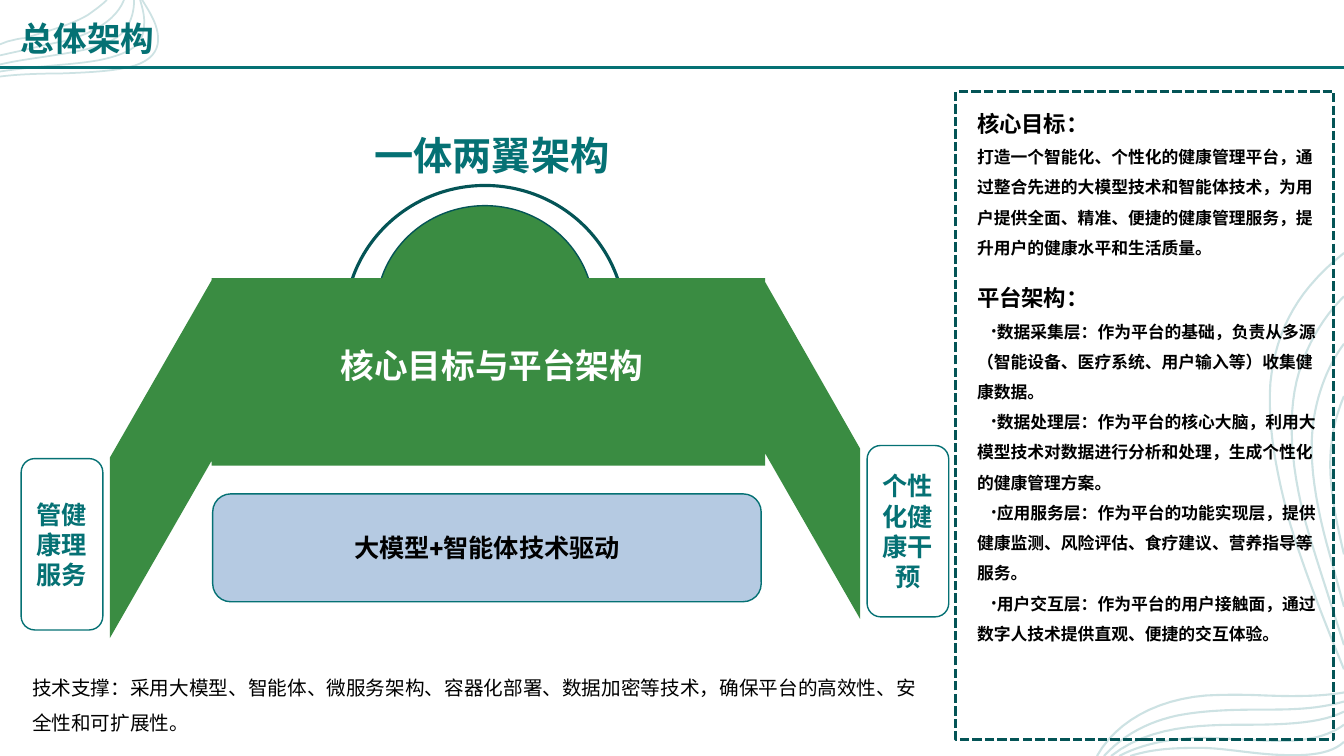
from lxml import etree
from pptx import Presentation
from pptx.dml.color import RGBColor
from pptx.enum.dml import MSO_LINE
from pptx.enum.shapes import MSO_CONNECTOR, MSO_SHAPE
from pptx.enum.text import MSO_ANCHOR, MSO_AUTO_SIZE, PP_ALIGN
from pptx.oxml.ns import qn
from pptx.util import Inches, Pt

LEFT, CENTER = PP_ALIGN.LEFT, PP_ALIGN.CENTER
TOP, MIDDLE = MSO_ANCHOR.TOP, MSO_ANCHOR.MIDDLE
OVAL, RECT, ROUNDED = MSO_SHAPE.OVAL, MSO_SHAPE.RECTANGLE, MSO_SHAPE.ROUNDED_RECTANGLE
STRAIGHT, DASH = MSO_CONNECTOR.STRAIGHT, MSO_LINE.SQUARE_DOT
FONT = "Roboto"
TEAL, DARK_TEAL, GREEN = "057174", "045456", "3A8C42"
BLUE, WHITE, BLACK = "B5CAE2", "FFFFFF", "000000"

# Each wave is a chain of cubic curves: a start, then two handles and an end per curve.
CORNER_WAVES = [
    [(0, .44), (.03, .43), (.05, .42), (.08, .41), (.13, .4), (.19, .38), (.24, .38),
     (.47, .31), (.7, .25), (.87, .15), (.94, .1), (1.01, .05), (1.06, 0)],
    [(1.41, 0), (1.46, .08), (1.51, .16), (1.54, .24), (1.6, .41), (1.58, .57), (1.34, .65),
     (1.14, .71), (.86, .72), (.59, .73), (.35, .73), (.16, .74), (0, .76)],
    [(0, .71), (.14, .69), (.29, .67), (.43, .66), (.62, .64), (.8, .63), (.97, .6),
     (1.12, .57), (1.25, .53), (1.34, .46), (1.42, .39), (1.43, .3), (1.43, .21),
     (1.43, .14), (1.41, .07), (1.39, 0)],
    [(0, .64), (.13, .61), (.26, .59), (.4, .57), (.72, .52), (1.04, .48), (1.2, .34),
     (1.3, .24), (1.33, .12), (1.33, 0)],
    [(0, .55), (.09, .53), (.18, .51), (.27, .49), (.39, .46), (.52, .43), (.63, .41),
     (.93, .33), (1.15, .2), (1.23, 0)],
]
EDGE_WAVES = [
    [(13.33, 3.93), (13.28, 4.05), (13.23, 4.2), (13.21, 4.37),
     (13.16, 4.7), (13.23, 5.08), (13.33, 5.5)],
    [(13.33, 3.41), (13.19, 3.6), (13.1, 3.82), (13.05, 4.05), (12.96, 4.45),
     (13.03, 4.91), (13.16, 5.4), (13.2, 5.54), (13.27, 5.8), (13.33, 6.02)],
    [(13.33, 2.94), (13.1, 3.17), (12.94, 3.46), (12.86, 3.78), (12.77, 4.17),
     (12.81, 4.63), (12.93, 5.11), (13.01, 5.42), (13.2, 5.98), (13.33, 6.4)],
    [(13.33, 2.51), (13.22, 2.6), (13.13, 2.68), (13.05, 2.77), (12.79, 3.05),
     (12.64, 3.39), (12.6, 3.8), (12.57, 4.23), (12.66, 4.71), (12.8, 5.21),
     (12.94, 5.67), (13.13, 6.15), (13.33, 6.64)],
    [(13.33, 6.87), (13.1, 6.91), (12.83, 6.91), (12.55, 6.9), (12.35, 6.89),
     (12.15, 6.89), (11.96, 6.9), (11.47, 6.94), (11.07, 7.16), (10.88, 7.5)],
    [(13.33, 6.96), (13.05, 7.04), (12.78, 7.04), (12.49, 7.04), (12.2, 7.04),
     (11.92, 7.05), (11.67, 7.1), (11.4, 7.16), (11.15, 7.28), (10.95, 7.5)],
    [(13.33, 7.06), (13.11, 7.17), (12.79, 7.19), (12.35, 7.19),
     (11.9, 7.19), (11.4, 7.2), (11.02, 7.5)],
    [(13.33, 7.19), (13.18, 7.3), (12.98, 7.35), (12.72, 7.35), (12.45, 7.35),
     (12.15, 7.32), (11.89, 7.32), (11.59, 7.33), (11.33, 7.38), (11.1, 7.5)],
    [(13.33, 7.36), (13.2, 7.48), (12.99, 7.5), (12.71, 7.49), (12.4, 7.48),
     (12.1, 7.41), (11.84, 7.42), (11.59, 7.42), (11.4, 7.44), (11.21, 7.5)],
]
WINGED_BODY = [
    (1.01, 0), (6.5, 0), (6.5, .04), (7.44, 1.69), (7.44, 3.38), (6.5, 1.74),
    (6.5, 1.86), (1.01, 1.86), (1.01, 1.81), (0, 3.57), (0, 1.78), (1.01, .02),
]

GOAL = ("打造一个智能化、个性化的健康管理平台，通过整合先进的大模型技术和智能体技术，"
        "为用户提供全面、精准、便捷的健康管理服务，提升用户的健康水平和生活质量。")
LAYERS = [
    "数据采集层：作为平台的基础，负责从多源（智能设备、医疗系统、用户输入等）收集健康数据。",
    "数据处理层：作为平台的核心大脑，利用大模型技术对数据进行分析和处理，生成个性化的健康管理方案。",
    "应用服务层：作为平台的功能实现层，提供健康监测、风险评估、食疗建议、营养指导等服务。",
    "用户交互层：作为平台的用户接触面，通过数字人技术提供直观、便捷的交互体验。",
]
SUPPORT = ("技术支撑：采用大模型、智能体、微服务架构、容器化部署、数据加密等技术，"
           "确保平台的高效性、安全性和可扩展性。")


def color(value):
    return RGBColor.from_string(value)


def set_all(target, values):
    for name, value in values.items():
        setattr(target, name, value)


def write(para, text, size, ink=BLACK, bold=True, **layout):
    set_all(para, {"alignment": LEFT, "space_before": Pt(0), "line_spacing": 1.0, **layout})
    span = para.add_run()
    span.text = text
    set_all(span.font, {"name": FONT, "size": Pt(size), "bold": bold})
    span.font.color.rgb = color(ink)
    etree.SubElement(span.font._element, qn("a:ea")).set("typeface", FONT)


def prepare_frame(shape, anchor=TOP):
    set_all(shape.text_frame, {"word_wrap": True, "auto_size": MSO_AUTO_SIZE.NONE,
                               "vertical_anchor": anchor})
    return shape.text_frame.paragraphs[0]


def place(shape, *box):
    """Move a placeholder to the box and in front of the shapes drawn so far."""
    set_all(shape, dict(zip(("left", "top", "width", "height"), map(Inches, box))))
    shape.element.getparent().append(shape.element)


def add_text(page, box, text, size, **style):
    shape = page.shapes.add_textbox(*map(Inches, box))
    write(prepare_frame(shape), text, size, **style)


def paint(shape, fill=None, line=None, weight=1):
    shape.shadow.inherit = False
    for part, value in ((shape.fill, fill), (shape.line.fill, line)):
        if value:
            part.solid()
            part.fore_color.rgb = color(value)
        else:
            part.background()
    if line:
        shape.line.width = Pt(weight)


def add_shape(page, kind, box, **style):
    shape = page.shapes.add_shape(kind, *map(Inches, box))
    paint(shape, **style)
    return shape


def add_label(page, box, text, ink, fill=None):
    shape = add_shape(page, ROUNDED, box, fill=fill, line=TEAL)
    write(prepare_frame(shape, MIDDLE), text, 18, ink=ink, alignment=CENTER)


def add_outline(page, chains, close):
    """Draw chains of points, given in inches, as one freeform."""
    chains = [[(Inches(x), Inches(y)) for x, y in chain] for chain in chains]
    builder = page.shapes.build_freeform(*chains[0][0])
    for i, chain in enumerate(chains):
        if i:
            builder.move_to(*chain[0])
        builder.add_line_segments(chain[1:], close=close)
    return builder.convert_to_shape()


def curve_points(wave, steps=12):
    points = [wave[0]]
    for i in range(0, len(wave) - 1, 3):
        for t in (step / steps for step in range(1, steps + 1)):
            weights = ((1 - t) ** 3, 3 * t * (1 - t) ** 2, 3 * t * t * (1 - t), t ** 3)
            points.append(tuple(sum(w * p[axis] for w, p in zip(weights, wave[i:i + 4]))
                                for axis in (0, 1)))
    return points


def add_waves(page, waves, weight):
    shape = add_outline(page, [curve_points(wave) for wave in waves], close=False)
    paint(shape, line=TEAL, weight=weight)
    ink = shape.line._ln.find(".//" + qn("a:srgbClr"))
    etree.SubElement(ink, qn("a:alpha")).set("val", "20000")


def add_header(page, width):
    place(page.shapes.title, 0.1, 0.13, 3.39, 0.5)
    write(prepare_frame(page.shapes.title), "总体架构", 24, ink=TEAL)
    rule = page.shapes.add_connector(STRAIGHT, 0, Inches(0.67), Inches(width), Inches(0.67))
    rule.line.color.rgb = color(TEAL)
    rule.line.width = Pt(2.5)
    etree.SubElement(rule._element.spPr, qn("a:effectLst"))


def add_architecture(page, x, y):
    add_text(page, (x + 2.4, y, 4.54, 0.57), "一体两翼架构", 28, ink=TEAL, alignment=CENTER)
    add_shape(page, OVAL, (x + 3.21, y + 0.59, 2.78, 2.73), line=DARK_TEAL, weight=2.25)
    add_shape(page, OVAL, (x + 3.52, y + 0.79, 2.16, 2.09), fill=GREEN, line=DARK_TEAL)
    body = [(x + 0.88 + dx, y + 1.51 + dy) for dx, dy in WINGED_BODY]
    paint(add_outline(page, [body], close=True), fill=GREEN)
    add_text(page, (x + 3.07, y + 2.12, 3.52, 0.5), "核心目标与平台架构", 24, ink=WHITE)
    add_label(page, (x, y + 3.3, 0.81, 1.7), "管健康理服务", TEAL)
    add_label(page, (x + 8.39, y + 3.17, 0.81, 1.7), "个性化健康干预", TEAL)
    add_label(page, (x + 1.9, y + 3.65, 5.44, 1.07), "大模型+智能体技术驱动", BLACK, fill=BLUE)


def set_bullet(para, char=None):
    props = para._p.get_or_add_pPr()
    props.set("marL", "0")
    props.set("indent", str(Inches(0.14)) if char else "0")
    if char:
        etree.SubElement(props, qn("a:buFont")).set("typeface", FONT)
        etree.SubElement(props, qn("a:buChar")).set("char", char)
    else:
        etree.SubElement(props, qn("a:buNone"))


def add_goals(page, x, y, width, height):
    body = page.placeholders[1]
    place(body, x + 0.11, y + 0.13, width - 0.17, height - 0.25)
    para = prepare_frame(body)
    lines = [("核心目标：", 16, None, {}),
             (GOAL, 12, None, {"line_spacing": 1.5}),
             ("平台架构：", 16, None, {"space_before": Pt(19)})]
    lines += [(layer, 12, "•", {"line_spacing": 1.5}) for layer in LAYERS]
    for i, (text, size, bullet, layout) in enumerate(lines):
        para = body.text_frame.add_paragraph() if i else para
        set_bullet(para, bullet)
        write(para, text, size, **layout)
    frame = add_shape(page, RECT, (x, y, width, height), line=DARK_TEAL, weight=2.25)
    frame.line.dash_style = DASH


def main():
    deck = Presentation()
    set_all(deck, {"slide_width": Inches(13.33), "slide_height": Inches(7.5)})
    page = deck.slides.add_slide(deck.slide_layouts[1])
    add_waves(page, CORNER_WAVES, 1.25)
    add_waves(page, EDGE_WAVES, 1.5)
    add_architecture(page, 0.21, 1.25)
    add_goals(page, 9.48, 0.91, 3.75, 6.43)
    add_text(page, (0.22, 6.54, 9.13, 0.81), SUPPORT, 14, bold=False, line_spacing=1.5)
    add_header(page, 13.33)
    deck.save("out.pptx")


if __name__ == "__main__":
    main()
